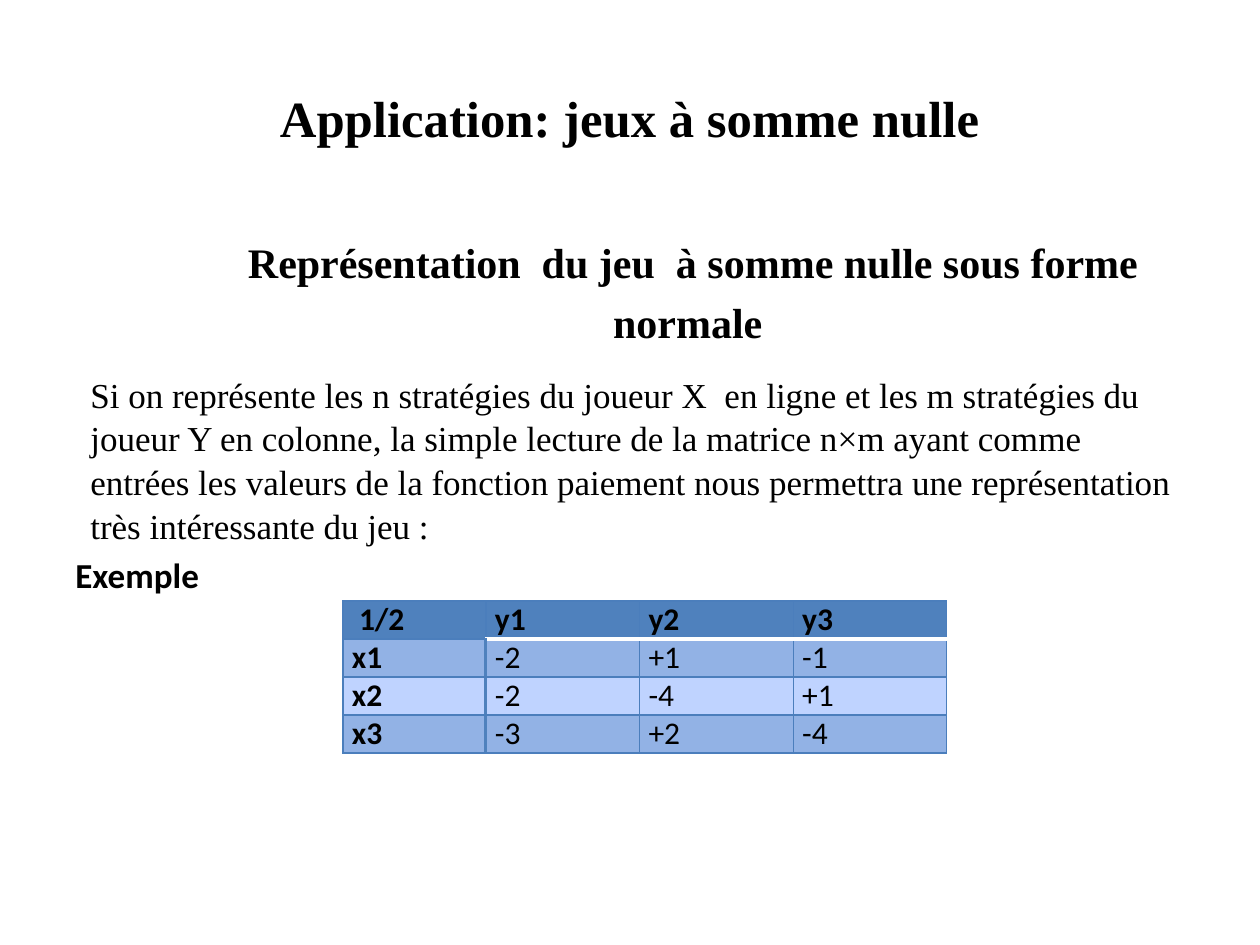
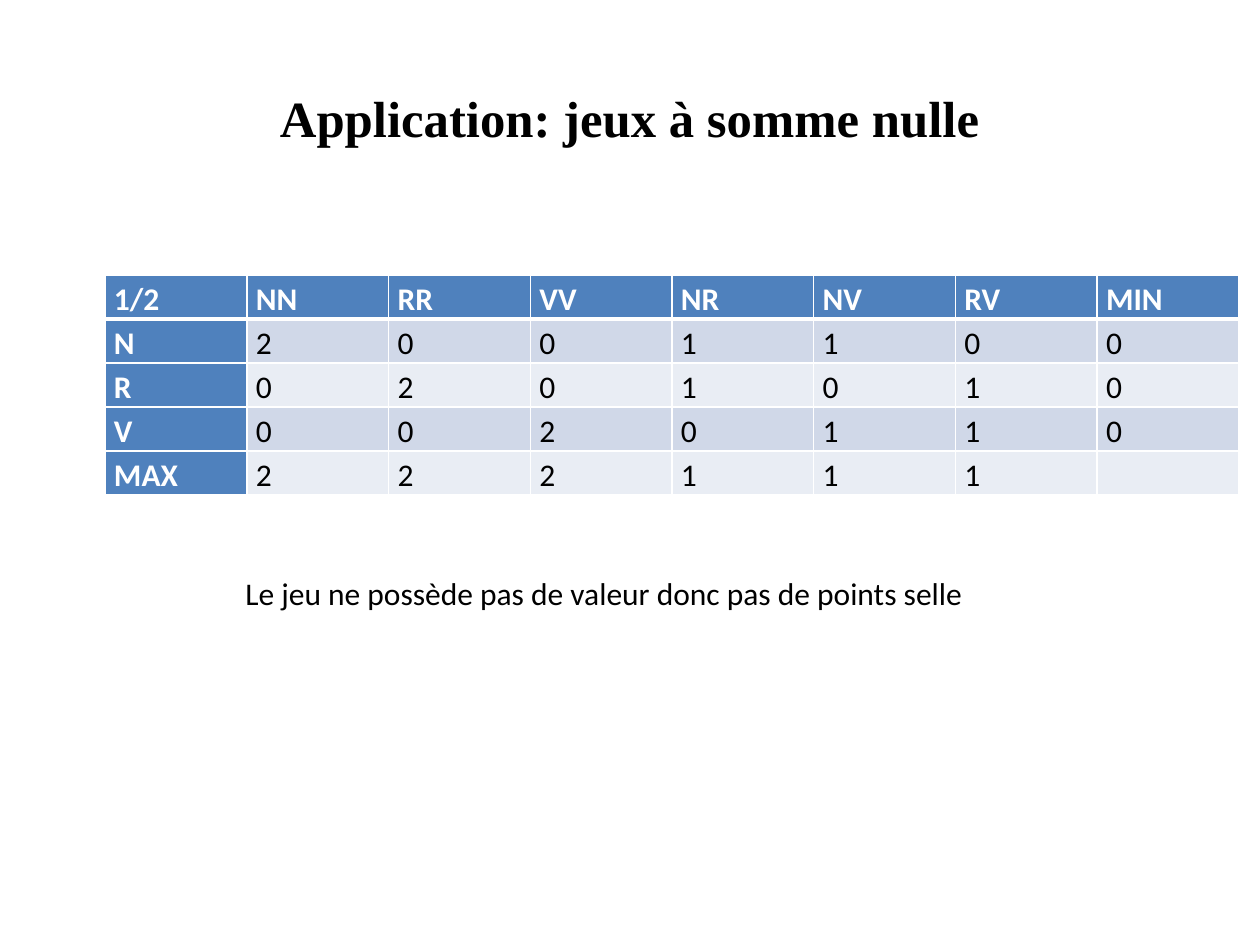
from dataclasses import dataclass

from lxml import etree
from pptx import Presentation
from pptx.dml.color import RGBColor
from pptx.enum.text import MSO_ANCHOR, PP_ALIGN
from pptx.oxml.ns import qn
from pptx.util import Pt

CENTER, LEFT = PP_ALIGN.CENTER, PP_ALIGN.LEFT
TOP, MIDDLE = MSO_ANCHOR.TOP, MSO_ANCHOR.MIDDLE
EMU_PER_PX = 914400 / 126
SERIF, SANS = "Times New Roman", "Calibri"
COLORS = {
    "text": "000000",
    "white": "FFFFFF",
    "accent": "4F81BD",
    "grid": "4B7EBC",
    "blue_dark": "92B2E5",
    "blue_light": "BFD3FF",
    "grey_dark": "D0D8E8",
    "grey_light": "E9EDF4",
}
TITLE = "Application: jeux à somme nulle"


@dataclass(frozen=True)
class Box:
    x: int
    y: int
    w: int
    h: int


@dataclass(frozen=True)
class Line:
    color: str
    width: float


@dataclass(frozen=True)
class TableStyle:
    grid: Line
    header_rule: Line
    rule_from: int  # first column whose header has the rule below it
    side_rule: Line
    header_text: str
    side_fills: tuple[str, str]
    bands: tuple[str, str]
    spacing: float


PAYOFF_STYLE = TableStyle(
    Line("grid", 0.75), Line("white", 2), 1, Line("accent", 2), "text",
    ("blue_dark", "blue_light"), ("blue_dark", "blue_light"), 1.0)
MINMAX_STYLE = TableStyle(
    Line("white", 1), Line("white", 3), 0, Line("white", 1), "white",
    ("accent", "accent"), ("grey_dark", "grey_light"), 1.15)

PAYOFFS = [
    [" 1/2", "y1", "y2", "y3"],
    ["x1", "-2", "+1", "-1"],
    ["x2", "-2", "-4", "+1"],
    ["x3", "-3", "+2", "-4"],
]
MINMAX = [
    ["1/2", "NN", "RR", "VV", "NR", "NV", "RV", "MIN"],
    ["N", "2", "0", "0", "1", "1", "0", "0"],
    ["R", "0", "2", "0", "1", "0", "1", "0"],
    ["V", "0", "0", "2", "0", "1", "1", "0"],
    ["MAX", "2", "2", "2", "1", "1", "1", ""],
]


def px(n: float) -> int:
    return round(n * EMU_PER_PX)


def rgb(name: str) -> RGBColor:
    return RGBColor.from_string(COLORS[name])


def write(tf, text: str, *, size: float, font: str = SANS, color: str = "text",
          bold: bool = False, align=LEFT, spacing: float = 1.0,
          before: float = 0, after: float = 0, indent: int = 0) -> None:
    """Fill the first paragraph of tf, or add one when it is taken."""
    p = tf.add_paragraph() if tf.text else tf.paragraphs[0]
    p.alignment, p.line_spacing = align, spacing
    p.space_before, p.space_after = Pt(before), Pt(after)
    p.font.size = Pt(size)
    p._p.get_or_add_pPr().set("marL", str(px(indent)))
    if text:
        r = p.add_run()
        r.text = text
        r.font.size, r.font.name, r.font.bold = Pt(size), font, bold
        r.font.color.rgb = rgb(color)


def add_text_frame(s, box: Box, anchor=TOP):
    tf = s.shapes.add_textbox(px(box.x), px(box.y), px(box.w), px(box.h)).text_frame
    tf.word_wrap, tf.vertical_anchor = True, anchor
    return tf


def add_titled_slide(prs):
    s = prs.slides.add_slide(prs.slide_layouts[6])
    tf = add_text_frame(s, Box(63, 38, 1134, 158), MIDDLE)
    write(tf, TITLE, size=29, font=SERIF, bold=True, align=CENTER)
    return s


def set_borders(cell, **lines: Line) -> None:
    """Draw the edges L, R, T, B, which must come in this order and before the fill."""
    tc_pr = cell._tc.get_or_add_tcPr()
    for side, line in lines.items():
        ln = etree.SubElement(tc_pr, qn(f"a:ln{side}"), w=str(Pt(line.width)))
        fill = etree.SubElement(ln, qn("a:solidFill"))
        etree.SubElement(fill, qn("a:srgbClr"), val=COLORS[line.color])


def add_matrix(s, box: Box, rows: list[list[str]], style: TableStyle,
               first_width: int) -> None:
    """Add a table with a header row, a header column and equal value columns."""
    n_rows, n_cols = len(rows), len(rows[0])
    table = s.shapes.add_table(
        n_rows, n_cols, px(box.x), px(box.y), px(box.w), px(box.h)).table
    for i, col in enumerate(table.columns):
        col.width = px((box.w - first_width) / (n_cols - 1) if i else first_width)

    def rule_below(r: int, c: int) -> Line:
        return style.header_rule if r == 0 and c >= style.rule_from else style.grid

    def rule_right(r: int, c: int) -> Line:
        return style.side_rule if r > 0 and c == 0 else style.grid

    for r, values in enumerate(rows):
        for c, value in enumerate(values):
            cell = table.cell(r, c)
            cell.margin_left = cell.margin_right = px(9)
            cell.margin_top = cell.margin_bottom = 0
            set_borders(cell, L=rule_right(r, c - 1), R=rule_right(r, c),
                        T=rule_below(r - 1, c), B=rule_below(r, c))
            band = (r - 1) % 2
            body_fill = (style.bands if c else style.side_fills)[band]
            cell.fill.solid()
            cell.fill.fore_color.rgb = rgb(body_fill if r else "accent")
            is_header = r == 0 or c == 0
            write(cell.text_frame, value, size=18, bold=is_header,
                  color=style.header_text if is_header else "text",
                  spacing=style.spacing)


def build_normal_form(prs) -> None:
    s = add_titled_slide(prs)
    tf = add_text_frame(s, Box(63, 220, 1134, 624))
    write(tf, "Représentation  du jeu  à somme nulle sous forme normale ",
          size=24, font=SERIF, bold=True, align=CENTER, spacing=1.2,
          before=4.8, after=10, indent=126)
    write(tf, "Si on représente les n stratégies du joueur X  en ligne et les m "
          "stratégies du joueur Y en colonne, la simple lecture de la matrice n×m "
          "ayant comme entrées les valeurs de la fonction paiement nous permettra "
          "une représentation très intéressante du jeu :",
          size=20, font=SERIF, spacing=1.04, before=4, indent=15)
    write(tf, "Exemple", size=20, bold=True, before=4)
    add_matrix(s, Box(343, 601, 604, 152), PAYOFFS, PAYOFF_STYLE, 143)


def build_minmax(prs) -> None:
    s = add_titled_slide(prs)
    add_matrix(s, Box(105, 275, 1134, 220), MINMAX, MINMAX_STYLE, 142)
    tf = add_text_frame(s, Box(233, 568, 833, 50))
    write(tf, "Le jeu ne possède pas de valeur donc pas de points selle", size=18)


def main() -> None:
    prs = Presentation()
    prs.slide_width, prs.slide_height = px(1260), px(945)
    build_normal_form(prs)
    build_minmax(prs)
    prs.save("out.pptx")


if __name__ == "__main__":
    main()
